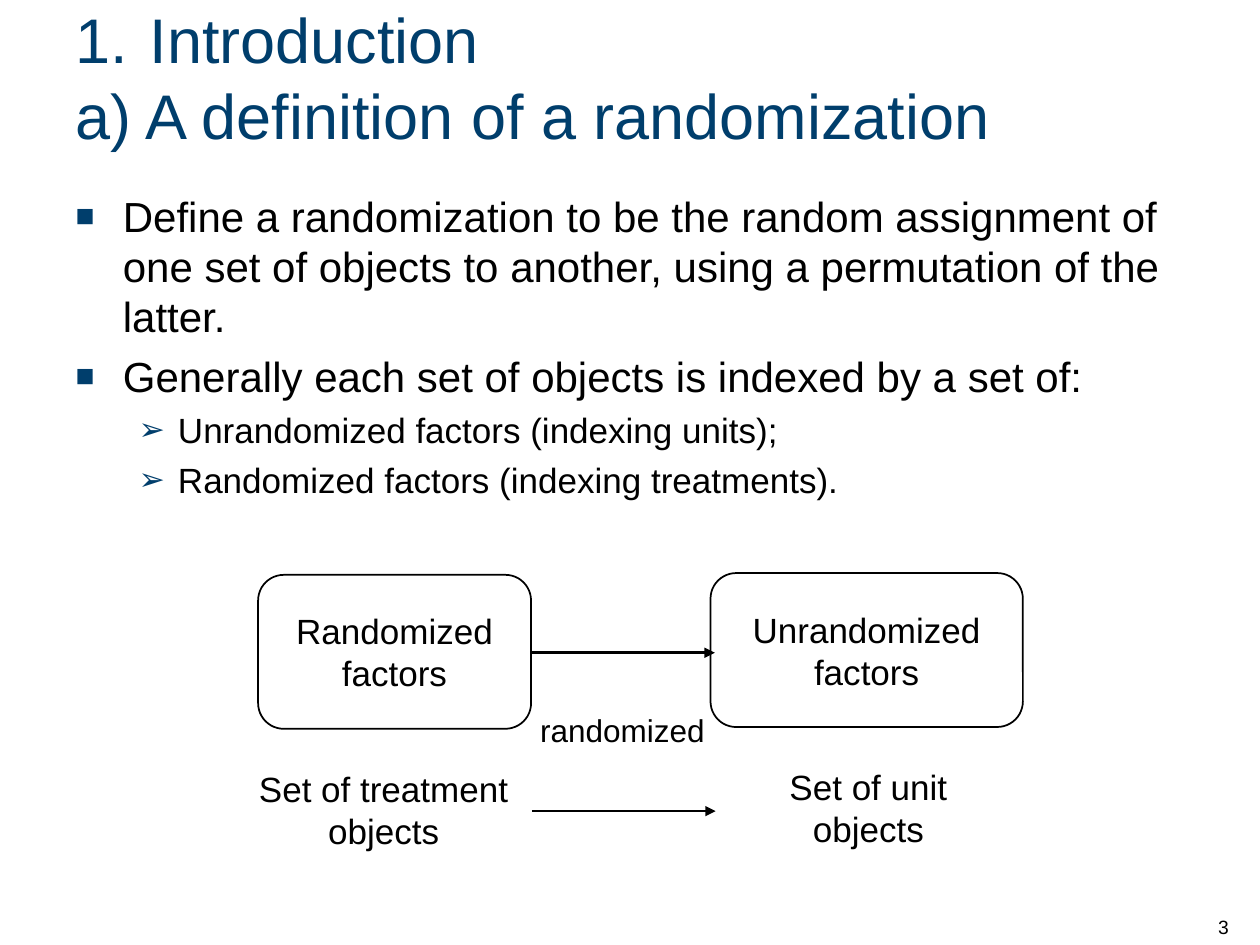
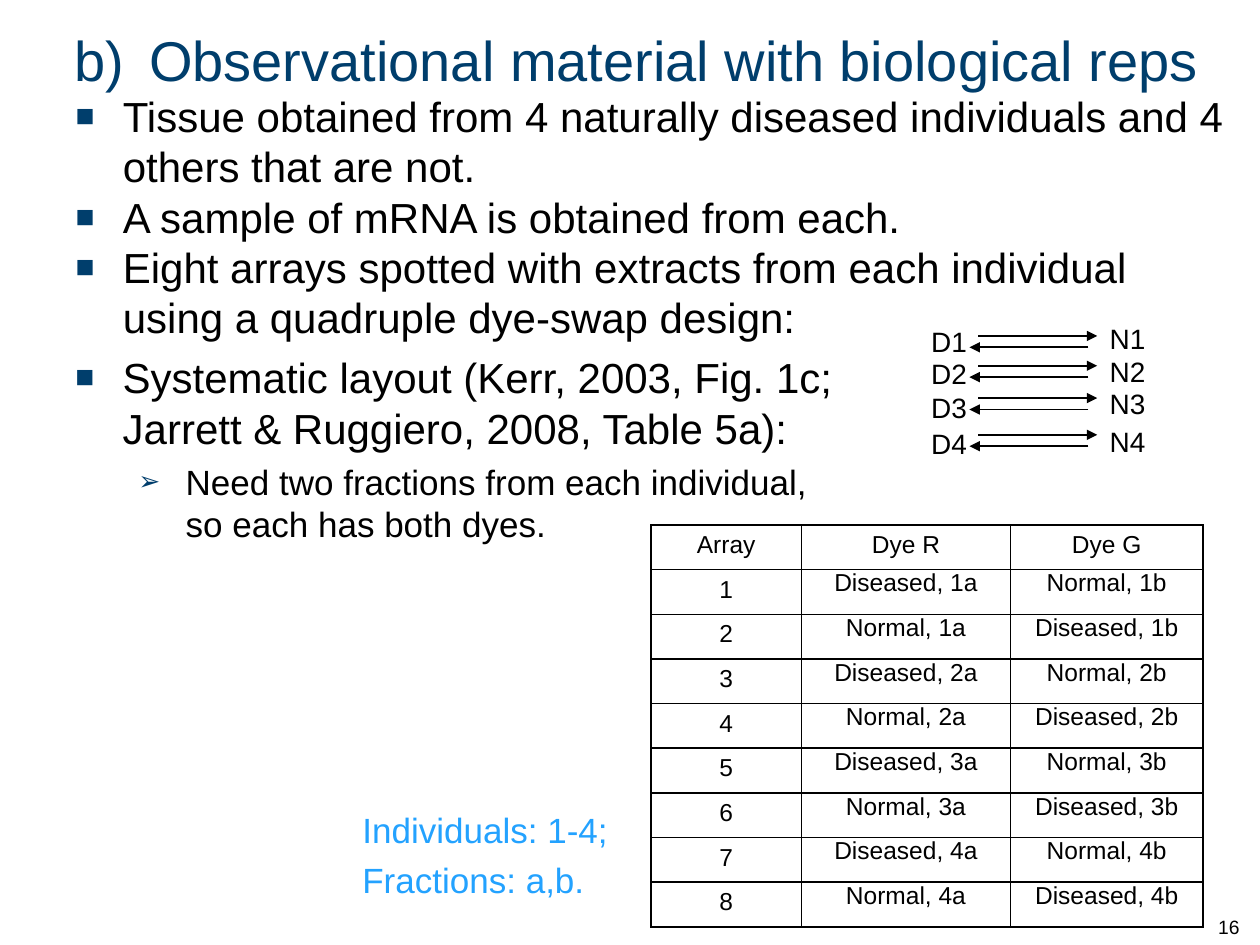
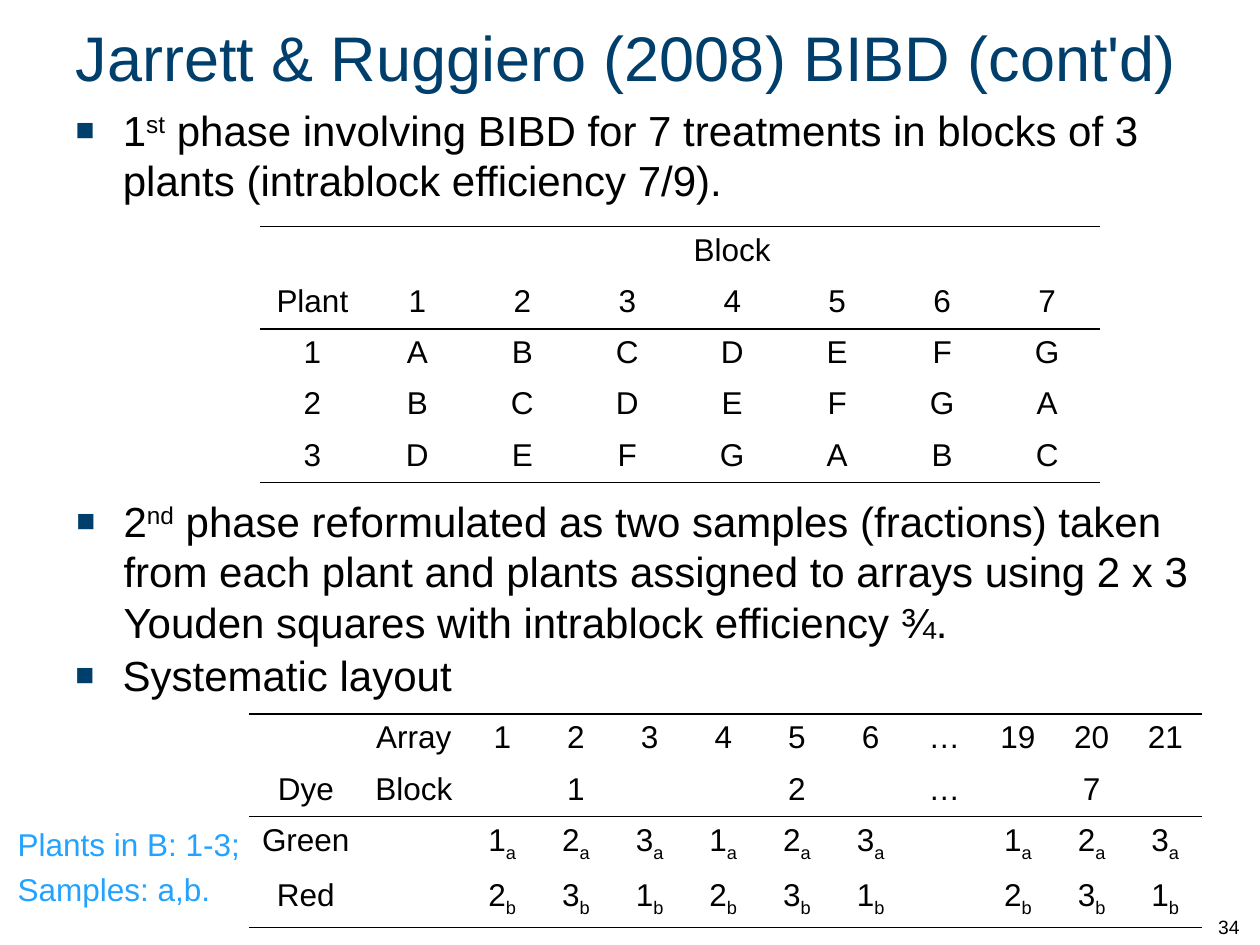
from lxml.etree import SubElement
from pptx import Presentation
from pptx.dml.color import RGBColor
from pptx.enum.shapes import MSO_CONNECTOR, MSO_SHAPE
from pptx.enum.text import MSO_ANCHOR, MSO_AUTO_SIZE, PP_ALIGN
from pptx.oxml.ns import qn
from pptx.util import Pt

FONT = "Arial"
NAVY, BLACK, SKY = "003E6C", "000000", "23A2FF"
LEFT, MID = PP_ALIGN.LEFT, PP_ALIGN.CENTER
PLAIN = "{2D5ABB26-0587-4C30-8999-92F81FD0307C}"
SHIFT = {"^": "30000", "_": "-25000"}
MARKS = "\u25a0\u27a2"


def hue(code):
    """Turn a hex string into a colour."""
    return RGBColor.from_string(code)


def node(root, tag, **attrs):
    """Append a drawing element to a parent."""
    return SubElement(root, qn("a:" + tag), **attrs)


def place(shape, box):
    """Move a shape to a left, top, width, height box."""
    shape.left, shape.top, shape.width, shape.height = map(Pt, box)


def write(para, text, size, tint):
    """Add runs split at bars, where ^ raises and _ lowers a part."""
    for row, line in enumerate(text.split("\n")):
        if row:
            para.add_line_break()
            node(para._p[-1], "rPr", sz=str(size * 100))
        for part in line.split("|"):
            run = para.add_run()
            run.text = part.lstrip("^_")
            run.font.name, run.font.size = FONT, Pt(size)
            run.font.color.rgb = hue(tint)
            if part[:1] in SHIFT:
                run._r.get_or_add_rPr().set("baseline", SHIFT[part[0]])


def add(frame, text, size, tint=BLACK, align=LEFT, gap=0.0):
    """Add a paragraph with a gap given as a share of its size."""
    para = frame.paragraphs[0]
    if para.runs:
        para = frame.add_paragraph()
    para.alignment = align
    para.space_before = Pt(size * gap)
    write(para, text, size, tint)
    return para


def item(frame, text, level=0, gap=0.22, hang=27, scale=75):
    """Add a bulleted paragraph."""
    para = add(frame, text, 24 - 4 * level, gap=gap)
    para.level = level
    props = para._p.get_or_add_pPr()
    props.set("marL", str(Pt(36 * level + hang)))
    props.set("indent", str(-Pt(hang)))
    node(node(props, "buClr"), "srgbClr", val=NAVY)
    node(props, "buSzPct", val=str(scale * 1000))
    node(props, "buFont", typeface=FONT)
    node(props, "buChar", char=MARKS[level])


def label(slide, box, lines=(), size=18, tint=BLACK, align=LEFT, gap=0.0):
    """Add a wrapped text box and return its frame."""
    frame = slide.shapes.add_textbox(*map(Pt, box)).text_frame
    frame.word_wrap = True
    for line in lines:
        add(frame, line, size, tint, align, gap)
    return frame


def start(deck, title, box, size, area, number):
    """Add a slide with title and number, and return it with its body frame."""
    slide = deck.slides.add_slide(deck.slide_layouts[1])
    head, body = slide.placeholders
    place(head, box)
    place(body, area)
    for shape in (head, body):
        shape.text_frame.auto_size = MSO_AUTO_SIZE.NONE
    head.text_frame.vertical_anchor = MSO_ANCHOR.MIDDLE
    para = add(head.text_frame, title, size, NAVY)
    tabs = node(para._p.get_or_add_pPr(), "tabLst")
    node(tabs, "tab", pos=str(Pt(42.5)), algn="l")
    foot = label(slide, (689, 504, 30.5, 36), [number], 11)
    foot.vertical_anchor = MSO_ANCHOR.BOTTOM
    return slide, body.text_frame


def arrow(slide, left, right, top, width):
    """Draw a level arrow from the first x to the second."""
    line = slide.shapes.add_connector(
        MSO_CONNECTOR.STRAIGHT, Pt(left), Pt(top), Pt(right), Pt(top))
    line.line.color.rgb = hue(BLACK)
    line.line.width = Pt(width)
    node(line.line._get_or_add_ln(), "tailEnd", type="triangle")
    node(line._element.spPr, "effectLst")


def panel(slide, box, lines):
    """Draw a rounded outline with centred lines."""
    shape = slide.shapes.add_shape(MSO_SHAPE.ROUNDED_RECTANGLE, *map(Pt, box))
    shape.shadow.inherit = False
    shape.fill.background()
    shape.line.color.rgb = hue(BLACK)
    shape.line.width = Pt(1)
    frame = shape.text_frame
    frame.word_wrap = False
    frame.vertical_anchor = MSO_ANCHOR.MIDDLE
    for line in lines:
        add(frame, line, 20, align=MID)


def edge(cell, sides):
    """Draw the named sides of a cell and clear the others."""
    props = cell._tc.get_or_add_tcPr()
    for side in "LRTB":
        line = node(props, "ln" + side, w=str(Pt(1)))
        if side in sides:
            node(node(line, "solidFill"), "srgbClr", val=BLACK)
        else:
            node(line, "noFill")
    cell.fill.background()


def grid(slide, left, top, cols, high, rows, size, heads=0):
    """Add a table, fully ruled or with rules around its head rows."""
    last = len(rows) - 1
    table = slide.shapes.add_table(
        len(rows), len(cols), Pt(left), Pt(top),
        Pt(sum(cols)), Pt(high * len(rows))).table
    table.first_row = table.horz_banding = False
    table._tbl.tblPr.find(qn("a:tableStyleId")).text = PLAIN
    for col, wide in zip(table.columns, cols):
        col.width = Pt(wide)
    for i, row in enumerate(rows):
        table.rows[i].height = Pt(high)
        sides = "LRTB"
        if heads:
            sides = "T" * (i in (0, heads)) + "B" * (i in (heads - 1, last))
        for j, text in enumerate(row):
            cell = table.cell(i, j)
            edge(cell, sides)
            if text:
                add(cell.text_frame, text, size, align=MID)
    return table


def define(deck):
    """Build the slide that defines a randomization."""
    slide, body = start(
        deck, "1.\tIntroduction\na) A definition of a randomization",
        (36, 6, 648, 75), 36, (36, 105, 666, 196.5), "3")
    item(body, "Define a randomization to be the random assignment of one set "
               "of objects to another, using a permutation of the latter.")
    item(body, "Generally each set of objects is indexed by a set of:")
    for text in ("Unrandomized factors (indexing units);",
                 "Randomized factors (indexing treatments)."):
        item(body, text, 1, hang=22.5, scale=90)
    arrow(slide, 304, 408.5, 373, 1.5)
    panel(slide, (147.5, 328.5, 156, 88), ["Randomized", "factors"])
    panel(slide, (406, 327.5, 178.5, 88), ["Unrandomized", "factors"])
    label(slide, (273, 402.5, 165.5, 29), ["randomized"], align=MID)
    label(slide, (136, 435, 166.5, 55.5), ["Set of treatment objects"], 20,
          align=MID)
    arrow(slide, 304, 409, 463.5, 1.5)
    label(slide, (414.5, 434, 163.5, 55.5), ["Set of unit objects"], 20,
          align=MID)


def observe(deck):
    """Build the slide on observational material."""
    slide, body = start(
        deck, "b)\tObservational material with biological reps",
        (35.5, 1, 690.5, 65.5), 32, (36, 48, 672.5, 240), "16")
    for text in ("Tissue obtained from 4 naturally diseased individuals and 4 "
                 "others that are not.",
                 "A sample of mRNA is obtained from each.",
                 "Eight arrays spotted with extracts from each individual "
                 "using a quadruple dye-swap design:"):
        item(body, text, gap=0)
    rows = [["Array", "Dye R", "Dye G"]]
    for i in range(8):
        pair = ["Diseased", "Normal"][::-1 if i % 2 else 1]
        rows.append([str(i + 1)] + [
            f"{kind}, {i // 2 + 1}{part}" for kind, part in zip(pair, "ab")])
    table = grid(slide, 372, 300, (86, 119.5, 110), 25.52, rows, 14)
    for i in range(1, 9):
        for j in (1, 2):
            cell = table.cell(i, j)
            cell.margin_top = cell.margin_bottom = 0
            cell.margin_left = cell.margin_right = Pt(5)
    plan = label(slide, (36, 197.5, 471.5, 124))
    item(plan, "Systematic layout (Kerr, 2003, Fig. 1c; "
               "Jarrett & Ruggiero, 2008, Table 5a):")
    item(plan, "Need two fractions from each individual,\n"
               "so each has both dyes.", 1)
    tops = ((192, 182, 180), (209, 200, 199),
            (227.5, 219.5, 217.5), (248.5, 240, 239))
    for i, (top, ill, well) in enumerate(tops, 1):
        arrow(slide, 559, 627, top, 1)
        arrow(slide, 622, 554, top + 6.5, 1)
        label(slide, (525, ill, 38, 26.5), [f"D{i}"], 16)
        label(slide, (627, well, 38, 26.5), [f"N{i}"], 16)
    label(slide, (200, 458.5, 155.5, 68.5),
          ["Individuals: 1-4;", "Fractions: a,b."], 20, SKY, gap=0.22)


def blocks(deck):
    """Build the slide on the two-phase block design."""
    slide, body = start(
        deck, "Jarrett & Ruggiero (2008) BIBD (cont'd)",
        (36, 0, 648, 64), 36, (36, 56, 666, 65.5), "34")
    item(body, "1|^st| phase involving BIBD for 7 treatments in blocks of 3 "
               "plants (intrablock efficiency 7/9).")
    rows = [["", "Block"] + [""] * 6, ["Plant", *"1234567"]]
    for i, step in enumerate((0, 1, 3), 1):
        rows.append([str(i)] + ["ABCDEFG"[(step + k) % 7] for k in range(7)])
    table = grid(slide, 148.5, 129.5, [60] * 8, 29.25, rows, 18, 2)
    table.cell(0, 1).merge(table.cell(0, 7))
    phase = label(slide, (36.5, 279.5, 666, 93))
    item(phase, "2|^nd| phase reformulated as two samples (fractions) taken "
                "from each plant and plants assigned to arrays using 2 x 3 "
                "Youden squares with intrablock efficiency \u00be.")
    rows = [["", "Array", *"123456\u2026", "19", "20", "21"],
            ["Dye", "Block", "", "1", "", "", "2", "", "\u2026", "", "7", ""]]
    for dye, plants, part in (("Green", "123", "a"), ("Red", "231", "b")):
        trio = [f"{plant}|_{part}" for plant in plants]
        rows.append([dye, "", *trio, *trio, "", *trio])
    grid(slide, 142.5, 408, [64.5, 59] + [42.1] * 10, 29.25, rows, 18, 2)
    label(slide, (3, 468, 143.5, 57.5),
          ["Plants in B: 1-3;", "Samples: a,b."], 18, SKY, gap=0.22)
    item(label(slide, (36, 367.5, 243.5, 39)), "Systematic layout")


def main():
    """Build and save the deck."""
    deck = Presentation()
    deck.slide_width, deck.slide_height = Pt(720), Pt(540)
    define(deck)
    observe(deck)
    blocks(deck)
    deck.save("out.pptx")


main()
